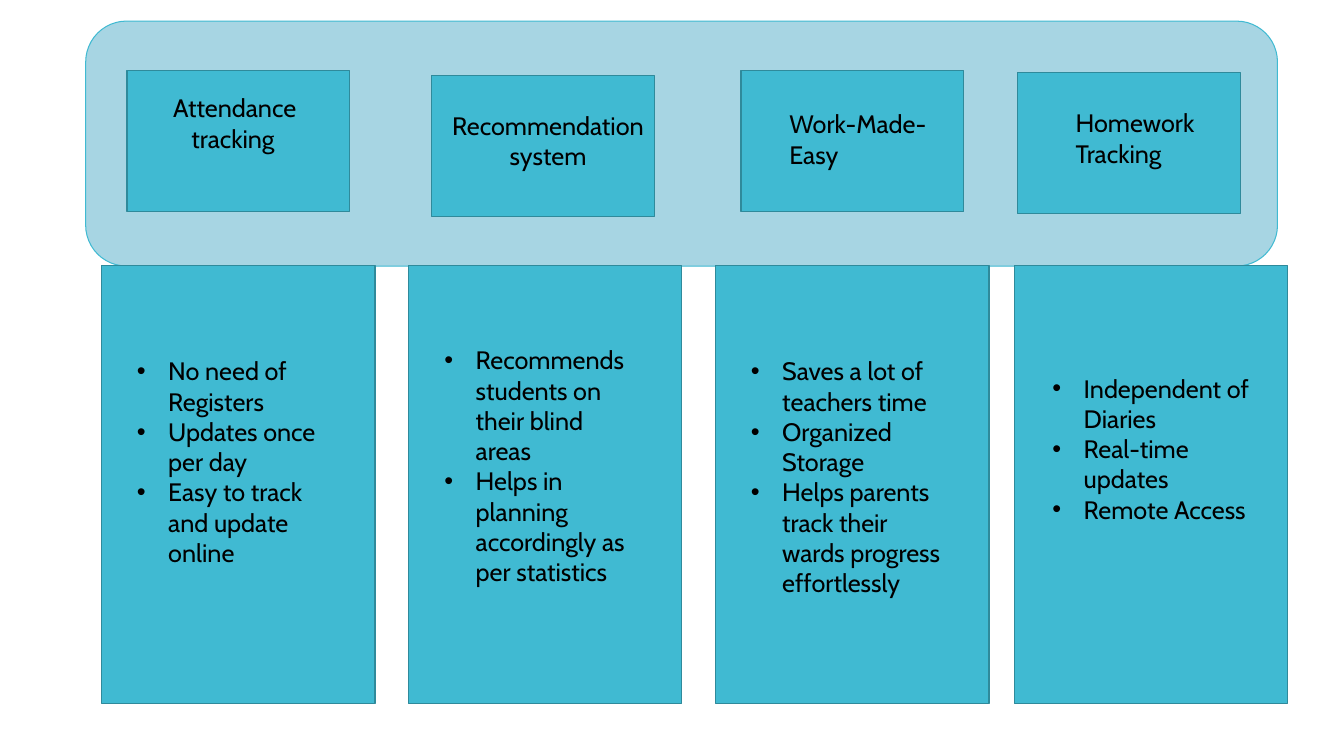
from pptx import Presentation
from pptx.dml.color import RGBColor
from pptx.enum.shapes import MSO_SHAPE
from pptx.enum.text import PP_ALIGN
from pptx.oxml.ns import qn
from pptx.util import Inches, Pt
from lxml.etree import SubElement

COLORS = {"teal": "40BAD2", "edge": "2F8A9B", "band": "A7D5E3", "ink": "000000"}
FONT = {"name": "Cabin", "size": Pt(18)}
CELL = Inches(1)  # the grid has square cells of one inch
COLUMNS, ROWS = 13.33, 7.5

BAND = (0.85, 0.21, 11.82, 2.43)
PANEL_TOP, PANEL_SIZE = 2.63, (2.71, 4.35)
CARD_SIZE = (2.21, 1.4)
LIST_INDENT = 0.31

# Card, title and list give their left offset within the column, then their top;
# titles and lists also give width and height.
FEATURES = [
    {"left": 1.01, "card": (0.25, 0.7),
     "title": (0.61, 0.87, 1.5, 0.71), "lines": ["Attendance", "tracking"],
     "format": {}, "second_indent": 0.18,
     "list": (0.25, 3.48, 2.21, 2.27),
     "points": ["No need of Registers", "Updates once per day",
                "Easy to track and update online"]},
    {"left": 4.05, "card": (0.23, 0.75),
     "title": (0.28, 1.04, 2.21, 0.71), "lines": ["Recommendation system"],
     "format": {"alignment": PP_ALIGN.CENTER},
     "list": (0.26, 3.37, 2.02, 2.52),
     "points": ["Recommends students on their blind areas",
                "Helps in planning accordingly as per statistics"]},
    {"left": 7.1, "card": (0.25, 0.7),
     "title": (0.63, 1.03, 1.97, 1.01), "lines": ["Work-Made-Easy"], "format": {},
     "list": (0.25, 3.48, 2.08, 2.52),
     "points": ["Saves a lot of teachers time", "Organized Storage",
                "Helps parents track their wards progress effortlessly"]},
    {"left": 10.06, "card": (0.03, 0.72),
     "title": (0.51, 1.02, 1.42, 1.01), "lines": ["Homework Tracking"], "format": {},
     "list": (0.28, 3.65, 2.15, 1.62),
     "points": ["Independent of Diaries", "Real-time updates", "Remote Access"]},
]


def on_grid(*cells):
    return [round(cell * CELL) for cell in cells]


def add_block(page, kind, box, fill, edge, weight):
    shape = page.shapes.add_shape(kind, *on_grid(*box))
    shape.shadow.inherit = False
    shape.fill.solid()
    shape.fill.fore_color.rgb = RGBColor.from_string(COLORS[fill])
    shape.line.color.rgb = RGBColor.from_string(COLORS[edge])
    shape.line.width = Pt(weight)


def add_text(page, box, lines):
    """Place one paragraph per line and return the paragraphs."""
    frame = page.shapes.add_textbox(*on_grid(*box)).text_frame
    frame.word_wrap = True
    frame.text = "\n".join(lines)
    for para in frame.paragraphs:
        for span in para.runs:
            for name, value in FONT.items():
                setattr(span.font, name, value)
            span.font.color.rgb = RGBColor.from_string(COLORS["ink"])
    return frame.paragraphs


def indent(para, margin, first_line=0):
    properties = para._p.get_or_add_pPr()
    for name, value in {"marL": margin, "indent": first_line}.items():
        properties.set(name, str(on_grid(value)[0]))
    return properties


def add_title(page, box, feature):
    paras = add_text(page, box, feature["lines"])
    for para in paras:
        for name, value in feature["format"].items():
            setattr(para, name, value)
    for para in paras[1:]:
        indent(para, feature["second_indent"])


def add_list(page, box, points):
    for para in add_text(page, box, points):
        properties = indent(para, LIST_INDENT, -LIST_INDENT)
        SubElement(properties, qn("a:buFont")).set("typeface", "Arial")
        SubElement(properties, qn("a:buChar")).set("char", "•")


def add_feature(page, feature):
    left = feature["left"]

    def within(part):
        return (left + part[0], *part[1:])

    # Panel with the list, and card with the title
    for box in ((left, PANEL_TOP, *PANEL_SIZE), (*within(feature["card"]), *CARD_SIZE)):
        add_block(page, MSO_SHAPE.RECTANGLE, box, "teal", "edge", 0.85)
    add_title(page, within(feature["title"]), feature)
    add_list(page, within(feature["list"]), feature["points"])


def main():
    deck = Presentation()
    deck.slide_width, deck.slide_height = on_grid(COLUMNS, ROWS)
    page = deck.slides.add_slide(deck.slide_layouts[6])
    # Band behind the title cards
    add_block(page, MSO_SHAPE.ROUNDED_RECTANGLE, BAND, "band", "teal", 0.75)
    # Feature columns
    for feature in FEATURES:
        add_feature(page, feature)
    deck.save("out.pptx")


if __name__ == "__main__":
    main()
